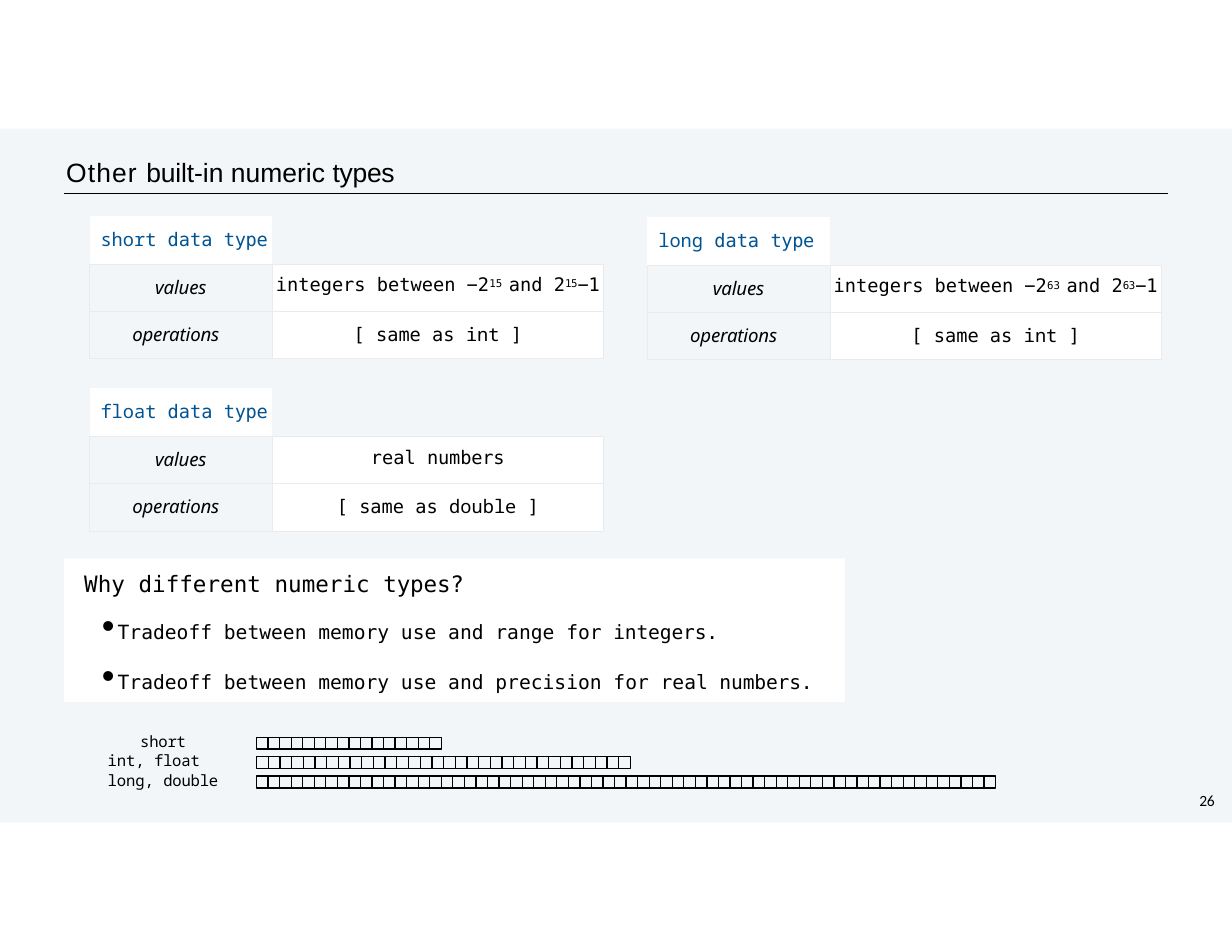
from dataclasses import dataclass

from lxml import etree
from pptx import Presentation
from pptx import util as u
from pptx.dml.color import RGBColor
from pptx.enum import shapes, text
from pptx.oxml import ns

Cm, Pt = u.Cm, u.Pt


@dataclass(frozen=True)
class Theme:
    paper: str = "FFFFFF"
    band: str = "F3F6F9"
    ink: str = "000000"
    accent: str = "005493"
    border: str = "EBEBEB"
    sans: str = "Arial"
    label: str = "Noto Sans"
    code: str = "Noto Sans Mono"
    mono: str = "DejaVu Sans Mono"
    number: str = "Calibri"
    title_size: float = 17
    heading_size: float = 14.5
    bullet_size: float = 21.8
    table_size: float = 12
    small_size: float = 10


THEME = Theme()


@dataclass(frozen=True)
class Span:
    words: str
    font: str = THEME.mono
    tracking: float = 0
    raised: int = 0
    italic: bool = False


def child(parent, tag, **attributes):
    return etree.SubElement(parent, ns.qn(tag), attributes)


def colour(value):
    return RGBColor.from_string(value)


def write(para, spans, size, ink=THEME.ink):
    for span in spans:
        run = para.add_run()
        run.text = span.words
        run.font.name = span.font
        run.font.size = Pt(size)
        run.font.italic = span.italic
        run.font.color.rgb = colour(ink)
        properties = run.font._element
        if span.tracking:
            properties.set("spc", str(round(span.tracking * 100)))
        if span.raised:
            properties.set("baseline", str(span.raised * 1000))


def indent(para, left, first=0):
    properties = para._p.get_or_add_pPr()
    properties.set("marL", str(Cm(left)))
    properties.set("indent", str(Cm(first)))


def prepare_frame(frame, top=0):
    frame.margin_left = frame.margin_right = frame.margin_bottom = 0
    frame.margin_top = Cm(top)
    frame.word_wrap = True
    frame.auto_size = text.MSO_AUTO_SIZE.NONE
    frame.vertical_anchor = text.MSO_ANCHOR.TOP
    frame.paragraphs[0].alignment = text.PP_ALIGN.LEFT
    return frame


def add_panel(page, left, top, width, height, fill):
    panel = page.shapes.add_shape(shapes.MSO_SHAPE.RECTANGLE, Cm(left), Cm(top), Cm(width), Cm(height))
    panel.shadow.inherit = False
    panel.fill.solid()
    panel.fill.fore_color.rgb = colour(fill)
    panel.line.fill.background()
    return panel


def add_label(page, left, top, width, height, spans, margin=0, first=0):
    box = page.shapes.add_textbox(Cm(left), Cm(top), Cm(width), Cm(height))
    para = prepare_frame(box.text_frame).paragraphs[0]
    indent(para, margin, first)
    write(para, spans, THEME.small_size)
    return para


def add_rule(page, left, right, y):
    rule = page.shapes.add_connector(shapes.MSO_CONNECTOR.STRAIGHT, Cm(left), Cm(y), Cm(right), Cm(y))
    rule.line.color.rgb = colour(THEME.ink)
    rule.line.width = Pt(0.41)
    child(rule._element.spPr, "a:effectLst")


def set_title(page):
    title = page.shapes.title
    title.left, title.top, title.width, title.height = Cm(1.47), Cm(3.48), Cm(21.11), Cm(0.81)
    para = prepare_frame(title.text_frame, 0.05).paragraphs[0]
    indent(para, 0.03)
    parts = [("Other ", 0.7), ("built-", -0.1), ("in numeric ", 0), ("types", -0.2)]
    write(para, [Span(words, THEME.sans, tracking) for words, tracking in parts], THEME.title_size)


def style_cell(cell, fill, sides):
    cell.margin_left = cell.margin_right = cell.margin_bottom = 0
    cell.margin_top = Cm(0.23)
    properties = cell._tc.get_or_add_tcPr()
    for side in "LRTB":
        line = child(properties, f"a:ln{side}", w=str(Pt(0.5)))
        if side in sides:
            child(child(line, "a:solidFill"), "a:srgbClr", val=THEME.border)
        else:
            child(line, "a:noFill")
    cell.fill.solid()
    cell.fill.fore_color.rgb = colour(fill)


def add_type_table(page, left, top, name, values, base_type):
    columns, rows = [4.14, 7.52], [1.09, 1.07, 1.07]
    frame = page.shapes.add_table(3, 2, Cm(left), Cm(top), Cm(sum(columns)), Cm(sum(rows)))
    table = frame.table
    table.first_row = table.horz_banding = False
    for column, width in zip(table.columns, columns):
        column.width = Cm(width)
    for row, height in zip(table.rows, rows):
        row.height = Cm(height)

    heading = [Span(f"{name} ", THEME.code), Span("data "), Span("type", tracking=-0.2)]
    operations = [Span("[ same as "), Span(f"{base_type} ", THEME.code), Span("]", tracking=-0.5)]
    labels = [[Span(word, THEME.label, -0.1, italic=True)] for word in ("values", "operations")]
    contents = [[heading, []], [labels[0], values], [labels[1], operations]]
    left_indents = {(0, 0): 0.25, (2, 0): 0.97}
    for r, row in enumerate(contents):
        for c, spans in enumerate(row):
            cell = table.cell(r, c)
            white = (r == 0) != (c == 1)
            style_cell(cell, THEME.paper if white else THEME.band, "LRTB" if r else "B")
            para = cell.text_frame.paragraphs[0]
            if (r, c) in left_indents:
                indent(para, left_indents[r, c])
            else:
                para.alignment = text.PP_ALIGN.CENTER
            write(para, spans, THEME.table_size, THEME.ink if r else THEME.accent)


def integer_range(power):
    return [Span("integers between −2"), Span(f"{power} ", raised=21), Span("and "),
            Span("2", tracking=-0.2), Span(power, tracking=-0.3, raised=21), Span("−1", tracking=-0.2)]


def add_bullet(frame, words, last_word, space):
    para = frame.add_paragraph()
    para.alignment = text.PP_ALIGN.LEFT
    indent(para, 1.22, -0.36)
    properties = para._p.get_or_add_pPr()
    child(properties, "a:buSzPct", val="107000")
    child(properties, "a:buFont", typeface=THEME.sans)
    child(properties, "a:buChar", char="•")
    child(child(properties, "a:tabLst"), "a:tab", pos=str(Cm(1.22)), algn="l")
    para.space_before = Pt(space)
    write(para, [Span(words, raised=2), Span(last_word, tracking=-0.1, raised=2)], THEME.bullet_size)


def add_bit_strip(page, top, width, cells):
    left, height = 5.82, 0.27
    right, bottom = left + width, top + height
    builder = page.shapes.build_freeform(Cm(left), Cm(top))
    corners = [(right, top), (right, bottom), (left, bottom)]
    builder.add_line_segments([(Cm(x), Cm(y)) for x, y in corners], close=True)
    for i in range(1, cells):
        x = Cm(left + i * width / cells)
        builder.move_to(x, Cm(top))
        builder.add_line_segments([(x, Cm(bottom))], close=False)
    strip = builder.convert_to_shape()
    strip.shadow.inherit = False
    strip.fill.background()
    strip.line.color.rgb = colour(THEME.ink)
    strip.line.width = Pt(0.83)


def main():
    deck = Presentation()
    deck.slide_width, deck.slide_height = Cm(27.94), Cm(21.59)
    page = deck.slides.add_slide(deck.slide_layouts[5])

    # Background band, behind the title
    band = add_panel(page, 0, 2.92, 27.94, 15.74, THEME.band)
    band._element.getparent().insert(2, band._element)
    set_title(page)
    add_rule(page, 1.45, 26.49, 4.39)

    # Data type tables
    add_type_table(page, 2.03, 4.9, "short", integer_range("15"), "int")
    add_type_table(page, 14.68, 4.93, "long", integer_range("63"), "int")
    add_type_table(page, 2.03, 8.81, "float", [Span("real "), Span("numbers", tracking=-0.1)], "double")

    # Reasons for the different types
    panel = add_panel(page, 1.45, 12.67, 17.71, 3.25, THEME.paper)
    frame = prepare_frame(panel.text_frame, 0.25)
    indent(frame.paragraphs[0], 0.46)
    write(frame.paragraphs[0], [Span("Why different numeric "), Span("types?", tracking=-0.1)], THEME.heading_size)
    add_bullet(frame, "Tradeoff between memory use and range for ", "integers.", 6)
    add_bullet(frame, "Tradeoff between memory use and precision for real ", "numbers.", 5.8)

    # Memory sizes in bits
    for i, (width, cells) in enumerate([(4.19, 16), (8.48, 32), (16.76, 64)]):
        add_bit_strip(page, 16.72 + i * 0.44, width, cells)
    names = [("short ", -0.1), ("int, ", 0), ("float ", -0.1), ("long, ", 0), ("double", -0.1)]
    sizes = add_label(page, 2.41, 16.59, 2.59, 1.37, [Span(word, THEME.code, gap) for word, gap in names], 0.03, 0.74)
    sizes.line_spacing = 0.9 if THEME.code == THEME.mono else 1.03

    # Page number
    add_label(page, 27.1, 17.93, 0.58, 0.48, [Span("26", THEME.number, -0.2)], 0.1)
    deck.save("out.pptx")


if __name__ == "__main__":
    main()
